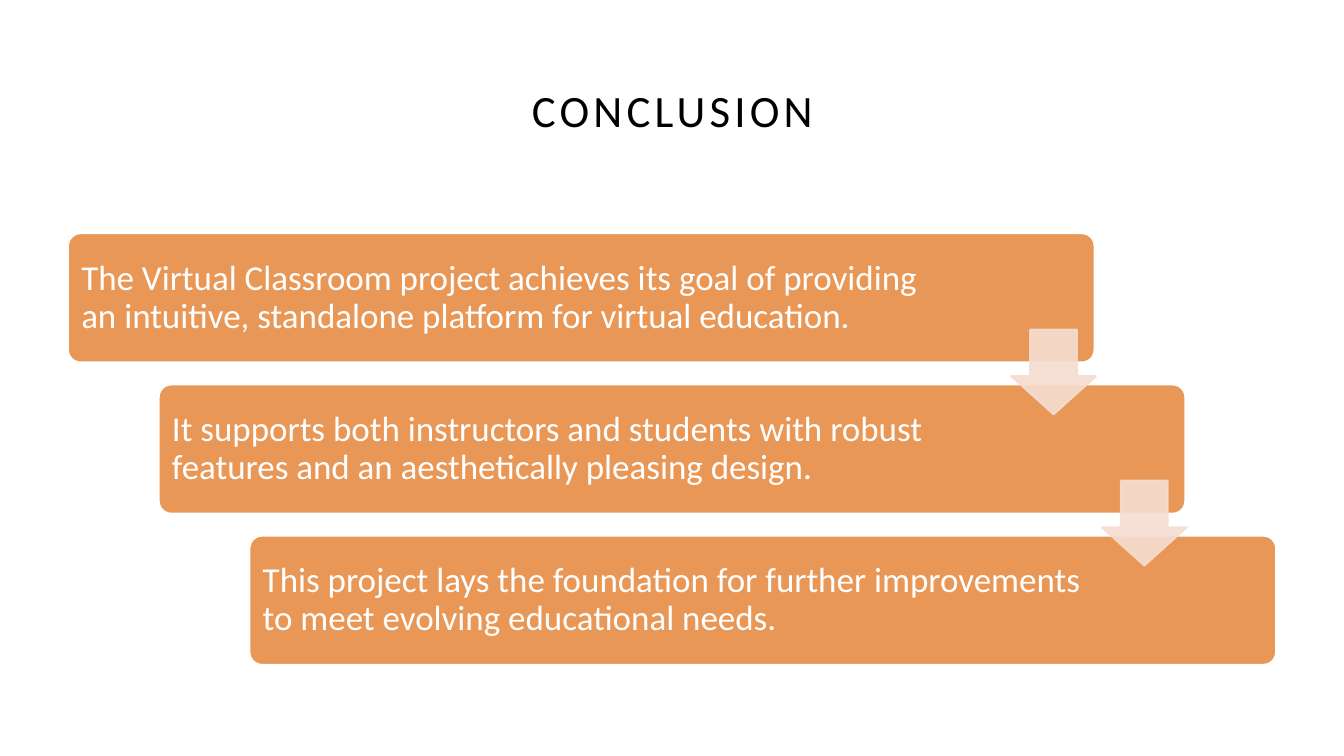
from pptx import Presentation
from pptx.dml.color import RGBColor
from pptx.enum.shapes import MSO_SHAPE
from pptx.enum.text import MSO_ANCHOR, PP_ALIGN
from pptx.oxml.ns import qn
from pptx.util import Inches, Pt
from lxml.etree import SubElement

FONT = "Calibri"
STEPS = [
    ("The Virtual Classroom project achieves its goal of providing an intuitive, "
     "standalone platform for virtual education.", 1.4),
    ("It supports both instructors and students with robust features and an "
     "aesthetically pleasing design.", 1.83),
    ("This project lays the foundation for further improvements to meet evolving "
     "educational needs.", 1.83),
]


def rgb(value):
    return RGBColor.from_string(value)


def format_paragraph(p, size, color, align):
    p.font.name = FONT
    p.font.size = Pt(size)
    p.font.color.rgb = rgb(color)
    p.alignment = align
    p.line_spacing = 0.9


def add_title(s, text, left, top, width, height):
    sp = s.shapes.title
    sp.left, sp.top, sp.width, sp.height = map(Inches, (left, top, width, height))
    tf = sp.text_frame
    tf.text = text
    tf.vertical_anchor = MSO_ANCHOR.MIDDLE
    p = tf.paragraphs[0]
    format_paragraph(p, 32, "000000", PP_ALIGN.CENTER)
    p.runs[0].font._element.set("spc", "300")


def add_block(s, kind, box, adjustments, fill, line, line_width):
    sp = s.shapes.add_shape(kind, *map(Inches, box))
    sp.shadow.inherit = False
    for i, value in enumerate(adjustments):
        sp.adjustments[i] = value
    sp.fill.solid()
    sp.fill.fore_color.rgb = rgb(fill)
    sp.line.color.rgb = rgb(line)
    sp.line.width = Pt(line_width)
    return sp


def add_step(s, text, right_inset, box):
    sp = add_block(s, MSO_SHAPE.ROUNDED_RECTANGLE, box, [0.1], "E89756", "FFFFFF", 2)
    tf = sp.text_frame
    tf.word_wrap = True
    tf.vertical_anchor = MSO_ANCHOR.MIDDLE
    tf.margin_left = tf.margin_top = tf.margin_bottom = Inches(0.1)
    tf.margin_right = Inches(right_inset)
    tf.text = text
    format_paragraph(tf.paragraphs[0], 25, "FFFFFF", PP_ALIGN.LEFT)


def add_arrow(s, box):
    sp = add_block(s, MSO_SHAPE.DOWN_ARROW, box, [0.55, 0.45], "F6DDD1", "F6DDD1", 1.5)
    for color in sp._element.spPr.iter(qn("a:srgbClr")):
        SubElement(color, qn("a:alpha"), val="90000")


def add_staircase(s, steps, left, top, width, height):
    indent, pitch, arrow = 0.9, 1.5, 0.84
    step_w = width - indent * (len(steps) - 1)
    step_h = height - pitch * (len(steps) - 1)
    for i, (text, right_inset) in enumerate(steps):
        add_step(s, text, right_inset,
                 (left + i * indent, top + i * pitch, step_w, step_h))
    for i in range(len(steps) - 1):
        add_arrow(s, (left + i * indent + step_w - arrow + 0.01,
                      top + i * pitch + 0.96, arrow, arrow))


def main():
    prs = Presentation()
    prs.slide_width, prs.slide_height = Inches(13.33), Inches(7.5)
    s = prs.slides.add_slide(prs.slide_layouts[5])
    add_title(s, "CONCLUSION", 0.92, 0.4, 11.5, 1.45)
    add_staircase(s, STEPS, 0.67, 2.31, 11.99, 4.29)
    prs.save("out.pptx")


if __name__ == "__main__":
    main()
